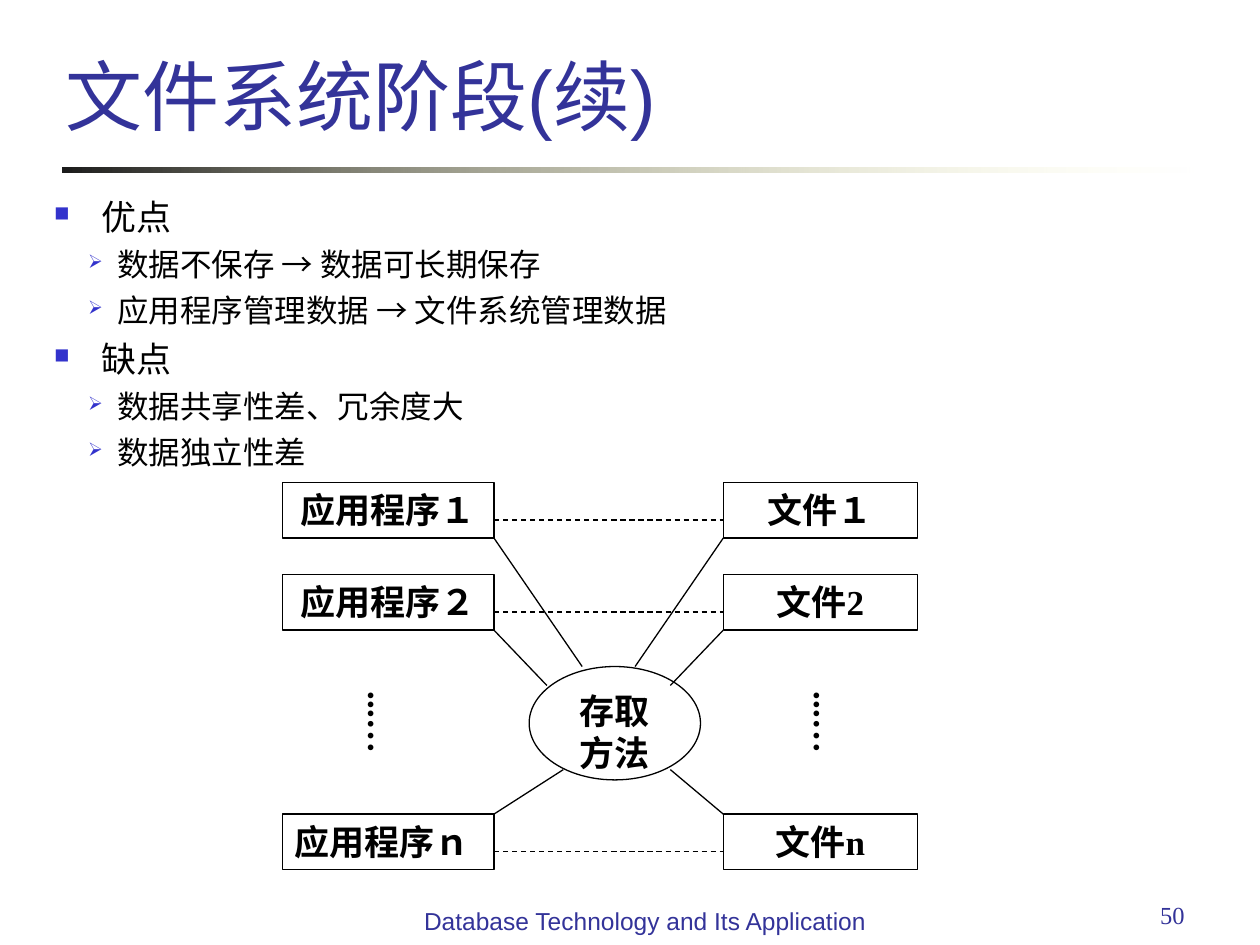
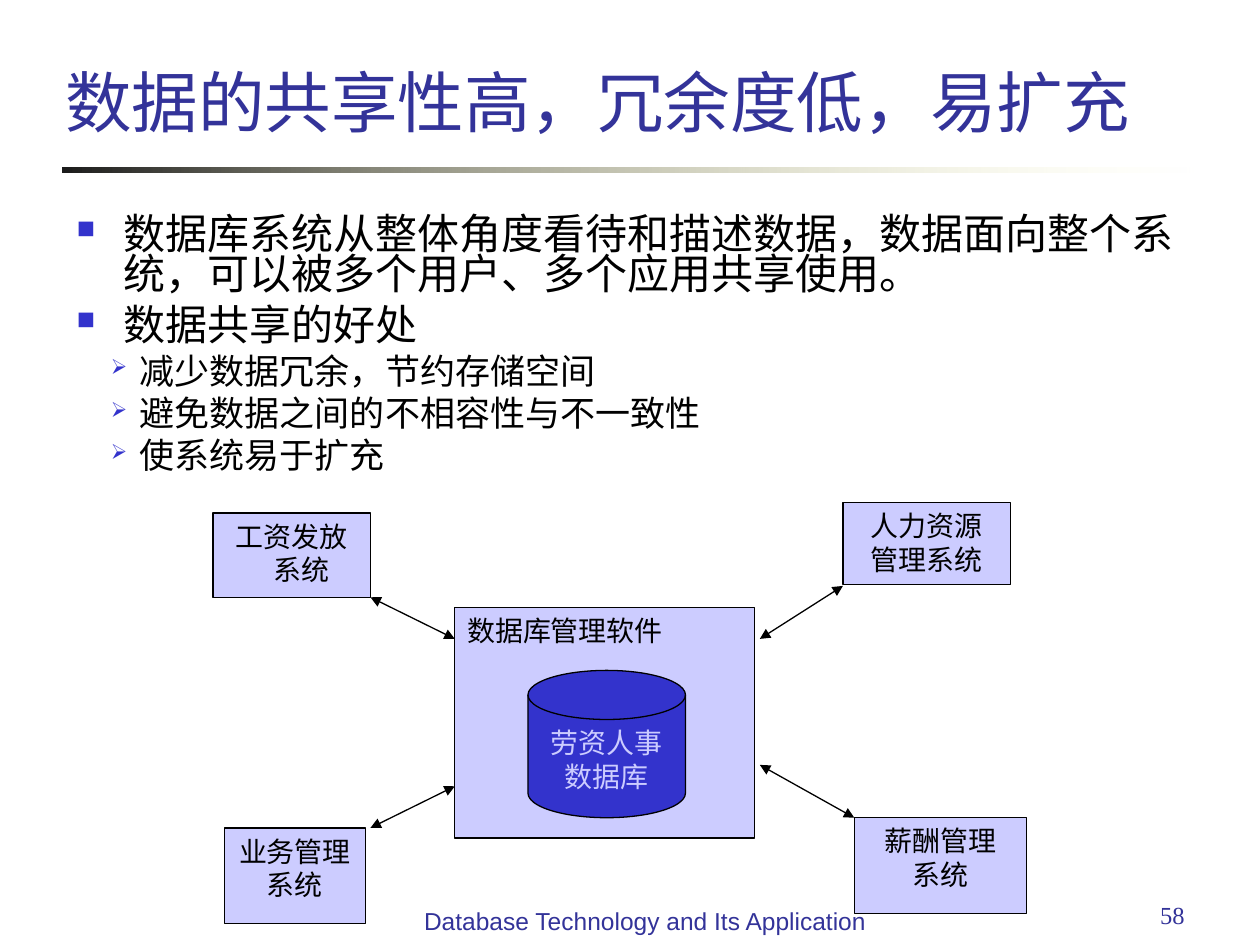
from lxml import etree
from pptx import Presentation
from pptx.dml.color import RGBColor
from pptx.enum.dml import MSO_LINE
from pptx.enum.shapes import MSO_CONNECTOR, MSO_SHAPE
from pptx.enum.text import MSO_ANCHOR, PP_ALIGN
from pptx.oxml.ns import qn
from pptx.util import Pt

RECT, OVAL = MSO_SHAPE.RECTANGLE, MSO_SHAPE.OVAL
DISK = MSO_SHAPE.FLOWCHART_MAGNETIC_DISK
STRAIGHT, DASH = MSO_CONNECTOR.STRAIGHT, MSO_LINE.DASH
LEFT, CENTER, RIGHT = PP_ALIGN.LEFT, PP_ALIGN.CENTER, PP_ALIGN.RIGHT
TOP, BOTTOM = MSO_ANCHOR.TOP, MSO_ANCHOR.BOTTOM

SANS, SERIF = "Arial", "Times New Roman"
BLACK, WHITE = "000000", "FFFFFF"
NAVY, BLUE, LILAC = "333399", "3333CC", "CCCCFF"

# Bullet levels: character, left margin, first-line indent
LEVELS = [("■", 27, -27), ("➢", 36, -16.5)]
FOOTER = "Database Technology and Its Application"


def color(hex_value):
    return RGBColor.from_string(hex_value)


def sub(parent, tag, **attrs):
    return etree.SubElement(parent, qn(tag), attrs)


def format_run(r, size, name=SANS, hex_value=BLACK, bold=False):
    for key, value in {"size": Pt(size), "name": name, "bold": bold}.items():
        setattr(r.font, key, value)
    r.font.color.rgb = color(hex_value)


def write(sp, lines, align=LEFT, anchor=TOP, **fmt):
    """Fill a shape with one paragraph per line; return its text frame."""
    tf = sp.text_frame
    margins = {"margin_left": 7.2, "margin_right": 7.2,
               "margin_top": 3.6, "margin_bottom": 3.6}
    for key, value in margins.items():
        setattr(tf, key, Pt(value))
    tf.word_wrap = True
    tf.vertical_anchor = anchor
    for i, line in enumerate(lines):
        p = tf.add_paragraph() if i else tf.paragraphs[0]
        p.alignment = align
        r = p.add_run()
        r.text = line
        format_run(r, **fmt)
    return tf


def add_text(s, box, lines, **fmt):
    return write(s.shapes.add_textbox(*map(Pt, box)), lines, **fmt)


def add_box(s, kind, box, lines, fill, **fmt):
    sp = s.shapes.add_shape(kind, *map(Pt, box))
    sp.shadow.inherit = False
    sp.fill.solid()
    sp.fill.fore_color.rgb = color(fill)
    sp.line.color.rgb = color(BLACK)
    sp.line.width = Pt(0.75)
    return write(sp, lines, **fmt)


def add_line(s, x1, y1, x2, y2, dash=None, arrows=False):
    cn = s.shapes.add_connector(STRAIGHT, *map(Pt, (x1, y1, x2, y2)))
    cn.line.color.rgb = color(BLACK)
    cn.line.width = Pt(0.75)
    if dash:
        cn.line.dash_style = dash
    if arrows:
        ln = cn.line._get_or_add_ln()
        for tag in ("a:headEnd", "a:tailEnd"):
            sub(ln, tag, type="triangle")
    sub(cn._element.spPr, "a:effectLst")


def frame(s, title, title_size, page):
    """Title, fading rule, page number and footer."""
    rule = s.shapes.add_shape(RECT, Pt(36), Pt(95.8), Pt(648), Pt(3))
    rule.shadow.inherit = False
    rule.line.fill.background()
    rule.fill.gradient()
    rule.fill.gradient_angle = 0
    stops = rule.fill.gradient_stops
    for stop, position, shade in zip(stops, (0, 1), ("1C1C1C", "FFFFB7")):
        stop.position = position
        stop.color.rgb = color(shade)
    end_color = list(rule._element.spPr.iter(qn("a:srgbClr")))[-1]
    sub(end_color, "a:alpha", val="0")

    add_text(s, (30.2, 0, 632.2, 84), [title], anchor=BOTTOM,
             size=title_size, hex_value=NAVY)
    add_text(s, (516.2, 510.5, 167.8, 37.4), [page], align=RIGHT,
             size=14, name=SERIF, hex_value=NAVY)
    add_text(s, (229.7, 514.1, 277.9, 37.4), [FOOTER], align=CENTER,
             size=14, hex_value=NAVY)


def bullets(s, box, items, sizes, line_spacing=1.0):
    """Two-level list; the space before a line is a quarter of its size."""
    tf = add_text(s, box, [text for _, text in items], size=sizes[0])
    for i, (p, (level, _)) in enumerate(zip(tf.paragraphs, items)):
        char, margin, indent = LEVELS[level]
        pPr = p._p.get_or_add_pPr()
        pPr.set("marL", str(Pt(margin)))
        pPr.set("indent", str(Pt(indent)))
        sub(sub(pPr, "a:buClr"), "a:srgbClr", val=BLUE)
        sub(pPr, "a:buSzPct", val="60000")
        sub(pPr, "a:buChar", char=char)
        p.level = level
        p.line_spacing = line_spacing
        p.space_before = Pt(sizes[level] / 4 if i else 0)
        p.runs[0].font.size = Pt(sizes[level])


def access_diagram(s, x, y):
    """Programs and files in rows, linked through the access method."""
    fmt = {"size": 20, "name": SERIF, "bold": True}
    program_w, file_x, file_w, box_h = 121, 252, 111, 31.7
    rows = [(0, "应用程序１", "文件１", CENTER),
            (52.6, "应用程序２", "文件2", CENTER),
            (189.4, "应用程序ｎ", "文件n", LEFT)]
    for dy, program, file_name, align in rows:
        top = y + dy
        add_box(s, RECT, (x, top, program_w, box_h), [program], WHITE,
                align=align, **fmt)
        add_box(s, RECT, (x + file_x, top, file_w, box_h), [file_name], WHITE,
                align=CENTER, **fmt)
        add_line(s, x + program_w, top + 21.4, x + file_x, top + 21.4, DASH)

    add_box(s, OVAL, (x + 141.1, y + 105.1, 97.9, 64.8), ["存取方法"], WHITE,
            align=CENTER, **fmt)

    # Spokes: row corner height, left end, right end, end height
    spokes = [(box_h, 171.4, 201.6, 105.1),
              (52.6 + box_h, 151.2, 221.8, 115.9),
              (189.4, 160.6, 221.8, 164)]
    for corner_y, left_end, right_end, end_y in spokes:
        for start, end in ((program_w, left_end), (file_x, right_end)):
            add_line(s, x + start, y + corner_y, x + end, y + end_y)

    # Vertical dots between the second and last rows
    for dx, h in ((34.6, 55.4), (289.4, 60.5)):
        tf = add_text(s, (x + dx, y + 112.3, 38.2, h), ["...…"], **fmt)
        tf._txBody.bodyPr.set("vert", "eaVert")
        tf.margin_left = tf.margin_right = Pt(3.6)
        tf.margin_top = tf.margin_bottom = Pt(7.2)


def sharing_diagram(s, x, y):
    """Four systems around one shared database."""
    fmt = {"size": 16, "name": SERIF}
    add_box(s, RECT, (x + 138.2, y + 59.8, 171.4, 131.8),
            ["数据库管理软件"], LILAC, **fmt)
    add_box(s, DISK, (x + 180, y + 95.8, 90, 84.2), ["劳资人事数据库"], BLUE,
            align=CENTER, hex_value=LILAC, **fmt)

    systems = [((0, 5.8, 90, 48.2), ["工资发放", "系统"]),
               ((360, 0, 95.8, 46.8), ["人力资源", "管理系统"]),
               ((366.5, 180, 98.6, 54.7), ["薪酬管理", "系统"]),
               ((6.5, 185.8, 80.6, 54.7), ["业务管理 系统"])]
    frames = [add_box(s, RECT, (x + dx, y + dy, w, h), lines, LILAC,
                      align=CENTER, **fmt)
              for (dx, dy, w, h), lines in systems]
    # The payroll box has its second line set in a little
    frames[0].paragraphs[1]._p.get_or_add_pPr().set("marL", str(Pt(11)))

    arrows = [(90, 54, 138.2, 77.8), (90, 185.8, 138.2, 162),
              (366.5, 180, 312.5, 149.8), (360, 47.5, 312.5, 77.8)]
    for x1, y1, x2, y2 in arrows:
        add_line(s, x + x1, y + y1, x + x2, y + y2, arrows=True)


def file_system_slide(s):
    frame(s, "文件系统阶段(续)", 44, "50")
    bullets(s, (23.8, 108, 681.1, 184.3), [
        (0, "优点"),
        (1, "数据不保存 → 数据可长期保存"),
        (1, "应用程序管理数据 → 文件系统管理数据"),
        (0, "缺点"),
        (1, "数据共享性差、冗余度大"),
        (1, "数据独立性差"),
    ], sizes=(20, 18))
    access_diagram(s, 161.3, 275.8)


def data_sharing_slide(s):
    frame(s, "数据的共享性高，冗余度低，易扩充", 38, "58")
    bullets(s, (36.7, 120.5, 644.4, 171.8), [
        (0, "数据库系统从整体角度看待和描述数据，数据面向整个系统，"
            "可以被多个用户、多个应用共享使用。"),
        (0, "数据共享的好处"),
        (1, "减少数据冗余，节约存储空间"),
        (1, "避免数据之间的不相容性与不一致性"),
        (1, "使系统易于扩充"),
    ], sizes=(24, 20), line_spacing=0.8)
    sharing_diagram(s, 121.7, 287.3)


def main():
    prs = Presentation()
    prs.slide_width, prs.slide_height = Pt(720), Pt(540)
    blank = prs.slide_layouts[6]
    for build in (file_system_slide, data_sharing_slide):
        build(prs.slides.add_slide(blank))
    prs.save("out.pptx")


if __name__ == "__main__":
    main()
